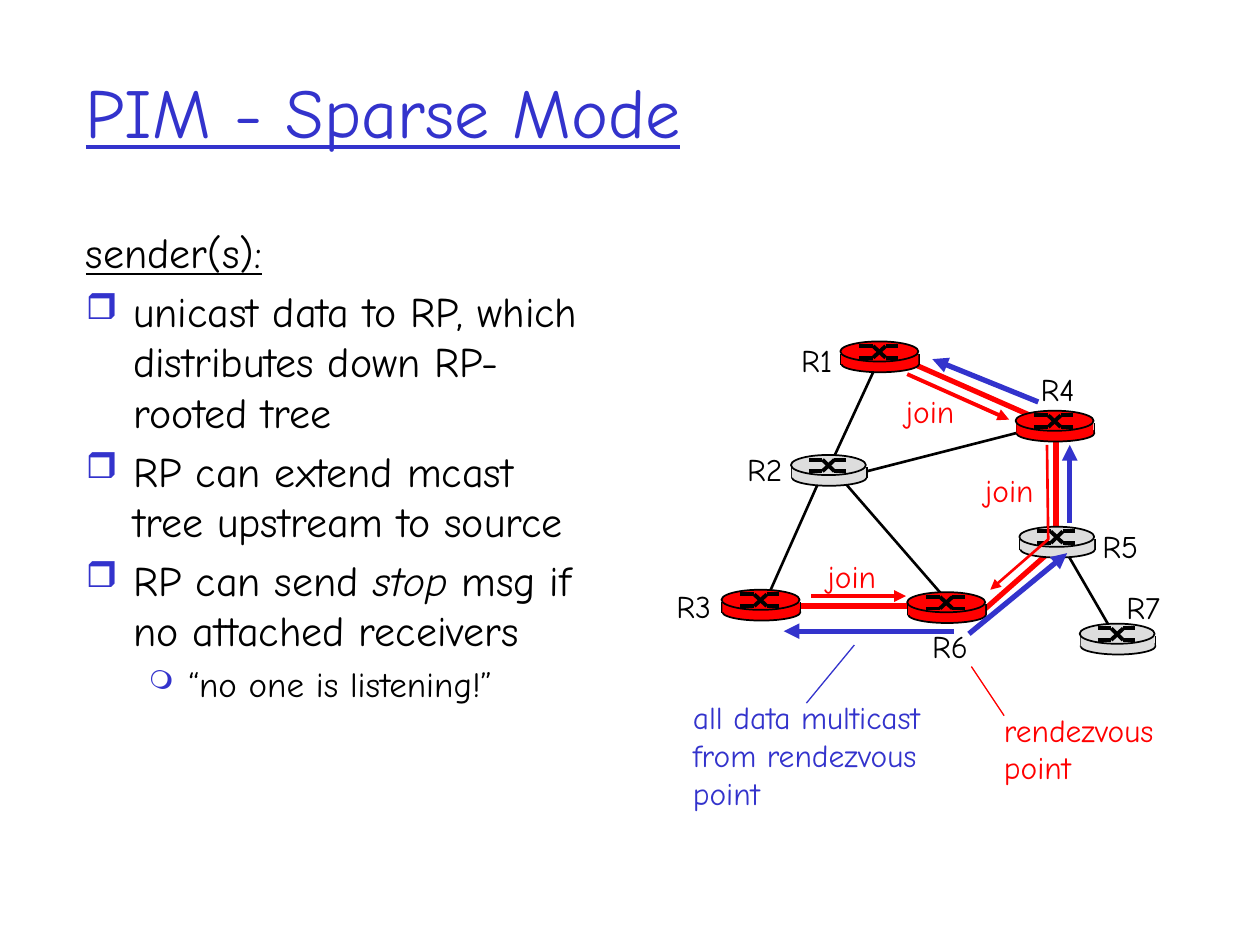
"""Build the PIM sparse mode slide: sender rules beside a multicast router tree."""
from dataclasses import dataclass
from typing import Optional

import lxml.etree
import pptx
import pptx.dml.color
import pptx.enum.shapes
import pptx.enum.text
import pptx.oxml.ns
import pptx.util

Pt = pptx.util.Pt
RGBColor = pptx.dml.color.RGBColor
MSO_SHAPE = pptx.enum.shapes.MSO_SHAPE
MSO_ANCHOR = pptx.enum.text.MSO_ANCHOR
MSO_AUTO_SIZE = pptx.enum.text.MSO_AUTO_SIZE
qn = pptx.oxml.ns.qn

FONT = "Comic Neue"
BLACK = RGBColor(0x00, 0x00, 0x00)
RED = RGBColor(0xFF, 0x00, 0x00)
BLUE = RGBColor(0x33, 0x33, 0xCC)
GRAY = RGBColor(0xDD, 0xDD, 0xDD)


@dataclass
class Line:
    x1: float
    y1: float
    x2: float
    y2: float
    color: RGBColor = BLACK
    width: float = 1.5
    arrow: bool = False


@dataclass
class Label:
    text: str
    x: float
    y: float
    w: float
    h: float = 28.8
    color: RGBColor = BLACK


@dataclass
class Router:
    x: float
    y: float
    color: RGBColor
    w: float


@dataclass
class Item:
    runs: list[str]
    bullet: str = ""
    bullet_size: int = 85
    size: float = 24
    margin: float = 27
    indent: float = -27
    level: int = 0
    underline: bool = False


LINKS = [
    Line(605.5, 308.9, 637.2, 363.6),
    Line(495.4, 269.3, 602.6, 241.9),
    Line(474.5, 266.4, 541.4, 343.4),
    Line(520.6, 207.4, 599, 241.9, RED, 3),
    Line(562.3, 348.5, 604.8, 311, RED, 3),
    Line(603.4, 249.8, 603.4, 306.7, RED, 3),
    Line(448.6, 346.3, 529.9, 346.3, RED, 3),
    Line(468, 275, 438.5, 341.3),
    Line(501.1, 208.1, 473.8, 267.1),
]
ROUTERS = [
    Router(518.4, 338.4, RED, 44.6),
    Router(580.3, 234.7, RED, 44.6),
    Router(412.3, 337, RED, 44.6),
    Router(582.5, 301, GRAY, 42.8),
    Router(452, 260, GRAY, 42.8),
    Router(480.2, 195.1, RED, 44.6),
    Router(617, 356.4, GRAY, 42.8),
]
FLOWS = [
    Line(463.7, 340.6, 517.7, 340.6, RED, 2.25, True),
    Line(518.4, 213.8, 576.7, 239.8, RED, 2.25, True),
    Line(545, 360.7, 447.8, 360.7, BLUE, 3, True),
    Line(553.7, 362.2, 609.8, 316.1, BLUE, 3, True),
    Line(611.3, 298.8, 611.3, 254.2, BLUE, 3, True),
    Line(593.3, 229.7, 532.8, 205.2, BLUE, 3, True),
    Line(460.8, 401.8, 488.2, 368.6, BLUE, 0.75),
    Line(555.1, 380.9, 573.8, 409, RED, 0.75),
]
JOIN_PATH = [(598.3, 254.2), (599, 308.2), (565.9, 337)]
LABELS = [
    Label("R1", 450.7, 191.5, 33.8),
    Label("R2", 419.8, 253.4, 36.7),
    Label("R3", 379.4, 331.9, 36.7),
    Label("R4", 587.5, 208.1, 36.7),
    Label("R5", 622.8, 297.4, 36.7),
    Label("R6", 525.6, 355, 36.7),
    Label("R7", 636.5, 332.6, 36.7),
    Label("join", 555.8, 265.7, 45.4, color=RED),
    Label("join", 510.5, 220.3, 45.4, color=RED),
    Label("join", 465.8, 314.6, 45.4, color=RED),
    Label("all data multicast\nfrom rendezvous\npoint", 388.8, 395.3, 159.1, 72, BLUE),
    Label("rendezvous\npoint", 566.6, 402.5, 108.7, 50.4, RED),
]
ITEMS = [
    Item(["sender(s):"], underline=True),
    Item(["unicast data to RP, which distributes down RP-rooted tree"], "❒"),
    Item(["RP can extend mcast tree upstream to source"], "❒"),
    Item(["RP can send ", "stop", " msg if no attached receivers"], "❒"),
    Item(["“no one is listening!”"], "❍", 75, 20, 58.5, -22.5, 1),
]


def add_run(p, text: str, *, size: float = 18, color: RGBColor = BLACK,
            underline: bool = False, italic: bool = False) -> None:
    r = p.add_run()
    r.text = text
    r.font.name, r.font.size = FONT, Pt(size)
    r.font.color.rgb = color
    r.font.underline, r.font.italic = underline, italic


def add_box(shapes, x: float, y: float, w: float, h: float, wrap: bool = True):
    tf = shapes.add_textbox(Pt(x), Pt(y), Pt(w), Pt(h)).text_frame
    tf.word_wrap = wrap
    return tf


def add_label(shapes, label: Label) -> None:
    tf = add_box(shapes, label.x, label.y, label.w, label.h, wrap=False)
    tf.auto_size = MSO_AUTO_SIZE.SHAPE_TO_FIT_TEXT
    for i, text in enumerate(label.text.split("\n")):
        p = tf.add_paragraph() if i else tf.paragraphs[0]
        add_run(p, text, color=label.color)


def add_item(p, item: Item, first: bool) -> None:
    p.level = item.level
    pPr = p._p.get_or_add_pPr()
    pPr.set("marL", str(Pt(item.margin)))
    pPr.set("indent", str(Pt(item.indent)))
    if item.bullet:
        clr = lxml.etree.SubElement(pPr, qn("a:buClr"))
        lxml.etree.SubElement(clr, qn("a:srgbClr")).set("val", str(BLUE))
        lxml.etree.SubElement(pPr, qn("a:buSzPct")).set("val", str(item.bullet_size * 1000))
        lxml.etree.SubElement(pPr, qn("a:buChar")).set("char", item.bullet)
    if not first:
        p.space_before = Pt(item.size * 0.2)
    for text in item.runs:
        add_run(p, text, size=item.size, underline=item.underline, italic=text == "stop")


def style_line(sp, color: RGBColor, width: float, arrow: bool) -> None:
    sp.line.color.rgb = color
    sp.line.width = Pt(width)
    if arrow:
        lxml.etree.SubElement(sp.line._get_or_add_ln(), qn("a:tailEnd")).set("type", "triangle")


def add_line(shapes, line: Line) -> None:
    sp = shapes.add_connector(pptx.enum.shapes.MSO_CONNECTOR.STRAIGHT,
                              Pt(line.x1), Pt(line.y1), Pt(line.x2), Pt(line.y2))
    style_line(sp, line.color, line.width, line.arrow)
    lxml.etree.SubElement(sp._element.spPr, qn("a:effectLst"))


def add_solid(shapes, kind, x: float, y: float, w: float, h: float,
              color: RGBColor, outlined: bool = True) -> None:
    sp = shapes.add_shape(kind, Pt(x), Pt(y), Pt(w), Pt(h))
    sp.shadow.inherit = False
    sp.fill.solid()
    sp.fill.fore_color.rgb = color
    if outlined:
        style_line(sp, BLACK, 1, False)
    else:
        sp.line.fill.background()


def add_router(shapes, router: Router) -> None:
    g = shapes.add_group_shape().shapes
    x, y, w = router.x, router.y, router.w
    add_solid(g, MSO_SHAPE.OVAL, x + 0.5, y + 8, w, 9.6, router.color)
    for side in (x + 0.5, x + 0.5 + w):
        add_line(g, Line(side, y + 7, side, y + 13.2, width=1))
    add_solid(g, MSO_SHAPE.RECTANGLE, x + 0.5, y + 7, w - 0.5, 6, router.color, False)
    add_solid(g, MSO_SHAPE.OVAL, x, y, w, 11.5, router.color)
    x1, x2, x3, x4 = (x + w * f for f in (0.24, 0.42, 0.58, 0.74))
    top, bottom = y + 2.7, y + 9.3
    for a, b in ((top, bottom), (bottom, top)):
        for ends in ((x1, a, x2, a), (x3, b, x4, b), (x2, a, x3, b)):
            add_line(g, Line(*ends, width=2.25))


def add_path(shapes, points: list[tuple[float, float]]) -> None:
    start, *rest = [(Pt(x), Pt(y)) for x, y in points]
    fb = shapes.build_freeform(*start)
    fb.add_line_segments(rest, close=False)
    sp = fb.convert_to_shape()
    sp.shadow.inherit = False
    sp.fill.background()
    style_line(sp, RED, 1.5, True)


def main() -> None:
    prs = pptx.Presentation()
    prs.slide_width, prs.slide_height = Pt(720), Pt(540)
    shapes = prs.slides.add_slide(prs.slide_layouts[6]).shapes
    title = add_box(shapes, 42, 18, 612, 90)
    title.vertical_anchor = MSO_ANCHOR.MIDDLE
    add_run(title.paragraphs[0], "PIM - Sparse Mode", size=40, color=BLUE, underline=True)
    body = add_box(shapes, 42, 126, 300, 366)
    for i, item in enumerate(ITEMS):
        add_item(body.add_paragraph() if i else body.paragraphs[0], item, i == 0)
    for link in LINKS:
        add_line(shapes, link)
    for router in ROUTERS:
        add_router(shapes, router)
    add_path(shapes, JOIN_PATH)
    for flow in FLOWS:
        add_line(shapes, flow)
    for label in LABELS:
        add_label(shapes, label)
    prs.save("out.pptx")


if __name__ == "__main__":
    main()
